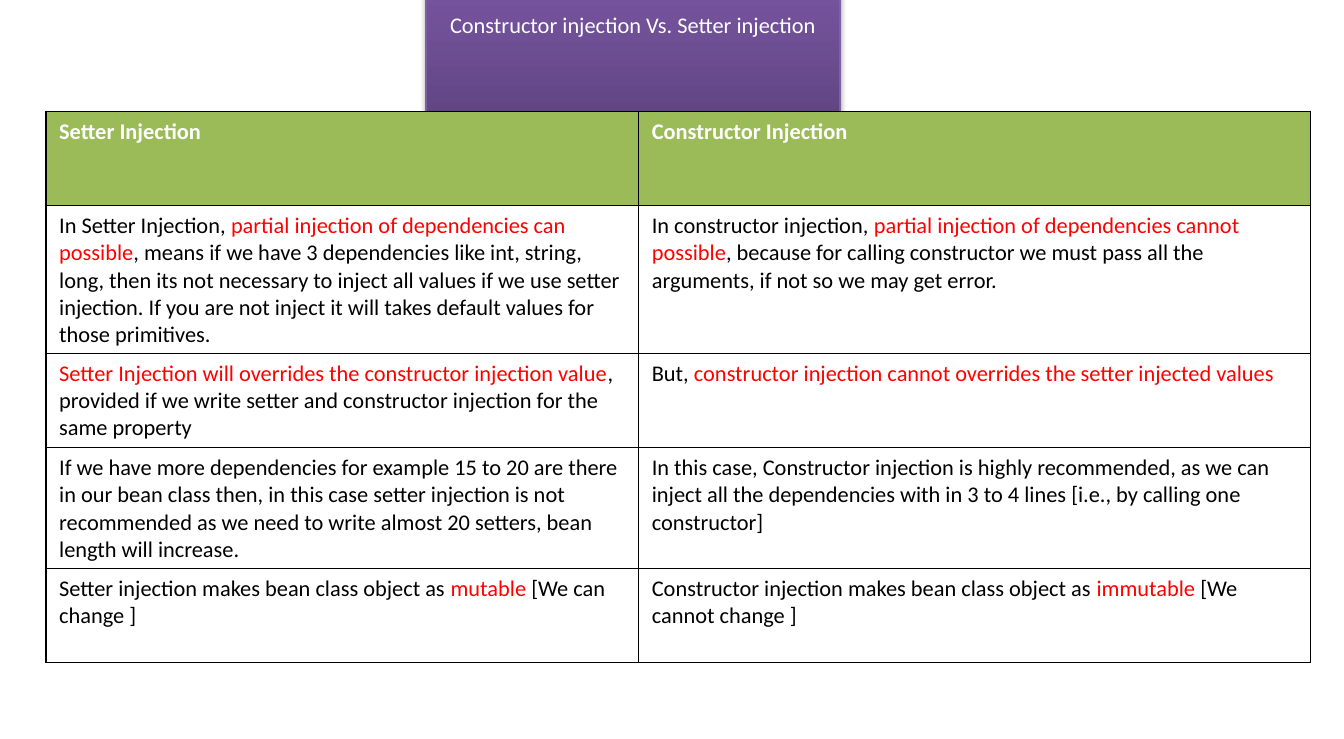
from lxml import etree
from pptx import Presentation, util as u
from pptx.dml.color import RGBColor
from pptx.enum import text
from pptx.oxml import parse_xml
from pptx.oxml.ns import nsdecls

TITLE = "Constructor injection Vs. Setter injection"
HEADERS = ["Setter Injection", "Constructor Injection"]
# Asterisks enclose the highlighted words
ROWS = [
    ("In Setter Injection, *partial injection of dependencies can possible*, means if we have "
     "3 dependencies like int, string, long, then its not necessary to inject all values if we "
     "use setter injection. If you are not inject it will takes default values for those primitives.",
     "In constructor injection, *partial injection of dependencies cannot possible*, because for "
     "calling constructor we must pass all the arguments, if not so we may get error."),
    ("*Setter Injection will overrides the constructor injection value*, provided if we write "
     "setter and constructor injection for the same property",
     "But, *constructor injection cannot overrides the setter injected values*"),
    ("If we have more dependencies for example 15 to 20 are there in our bean class then, in this "
     "case setter injection is not recommended as we need to write almost 20 setters, bean length "
     "will increase.",
     "In this case, Constructor injection is highly recommended, as we can inject all the "
     "dependencies with in 3 to 4 lines [i.e., by calling one constructor]"),
    ("Setter injection makes bean class object as *mutable* [We can change ]",
     "Constructor injection makes bean class object as *immutable* [We cannot change ]"),
]
COLORS = {"header": "9BBB59", "white": "FFFFFF", "body": "000000", "accent": "FF0000",
          "outline": "7D60A0", "border": "000000"}
GRADIENT = [(0, "5F4480"), (80, "7B58A6"), (100, "7C57A8")]
COLUMN_WIDTHS = [4.41, 5]
ROW_HEIGHTS = [0.7, 1.1, 0.7, 0.9, 0.7]


def rgb(name):
    return RGBColor.from_string(COLORS[name])


def add_span(para, words, color, bold=False):
    span = para.add_run()
    span.text = words
    for key, value in {"name": "Calibri", "size": u.Pt(12), "bold": bold}.items():
        setattr(span.font, key, value)
    span.font.color.rgb = rgb(color)


def add_borders(cell):
    properties = cell._tc.get_or_add_tcPr()
    for index, side in enumerate(("lnL", "lnR", "lnT", "lnB")):
        properties.insert(index, parse_xml(
            f'<a:{side} {nsdecls("a")} w="12700"><a:solidFill>'
            f'<a:srgbClr val="{COLORS["border"]}"/></a:solidFill></a:{side}>'))


def add_title(page):
    box = page.shapes.title
    place = {"left": 3.17, "top": 0.03, "width": 3.08, "height": 0.3}
    for key, value in place.items():
        setattr(box, key, u.Inches(value))

    # Gradient, outline and soft shadow
    stops = "".join(f'<a:gs pos="{at * 1000}"><a:srgbClr val="{color}"/></a:gs>'
                    for at, color in GRADIENT)
    properties = box._element.spPr
    properties.append(parse_xml(
        f'<a:gradFill {nsdecls("a")} rotWithShape="1"><a:gsLst>{stops}</a:gsLst>'
        '<a:lin ang="16200000" scaled="0"/></a:gradFill>'))
    box.line.color.rgb = rgb("outline")
    box.line.width = u.Pt(0.75)
    properties.append(parse_xml(
        f'<a:effectLst {nsdecls("a")}><a:outerShdw blurRad="39370" dist="22860" dir="5400000" '
        'rotWithShape="0"><a:srgbClr val="000000"><a:alpha val="35000"/></a:srgbClr>'
        '</a:outerShdw></a:effectLst>'))

    frame = box.text_frame
    settings = {"word_wrap": True, "auto_size": text.MSO_AUTO_SIZE.SHAPE_TO_FIT_TEXT,
                "vertical_anchor": text.MSO_ANCHOR.MIDDLE}
    for key, value in settings.items():
        setattr(frame, key, value)
    para = frame.paragraphs[0]
    para.alignment = text.PP_ALIGN.CENTER
    add_span(para, TITLE, "white")


def add_comparison(page):
    cells = [HEADERS, *ROWS]
    table = page.shapes.add_table(
        len(cells), len(HEADERS), u.Inches(0.34), u.Inches(0.83),
        u.Inches(sum(COLUMN_WIDTHS)), u.Inches(sum(ROW_HEIGHTS))).table
    table.horz_banding = False
    for column, width in zip(table.columns, COLUMN_WIDTHS):
        column.width = u.Inches(width)
    for row, height, contents in zip(table.rows, ROW_HEIGHTS, cells):
        row.height = u.Inches(height)
        header = contents is HEADERS
        for cell, content in zip(row.cells, contents):
            cell.fill.solid()
            cell.fill.fore_color.rgb = rgb("header" if header else "white")
            add_borders(cell)
            para = cell.text_frame.paragraphs[0]
            for index, words in enumerate(content.split("*")):
                color = "white" if header else ("body", "accent")[index % 2]
                if words:
                    add_span(para, words, color, header)


deck = Presentation()
deck.slide_width, deck.slide_height = u.Inches(10), u.Inches(5.5)
page = deck.slides.add_slide(deck.slide_layouts[5])
add_title(page)
add_comparison(page)
deck.save("out.pptx")
